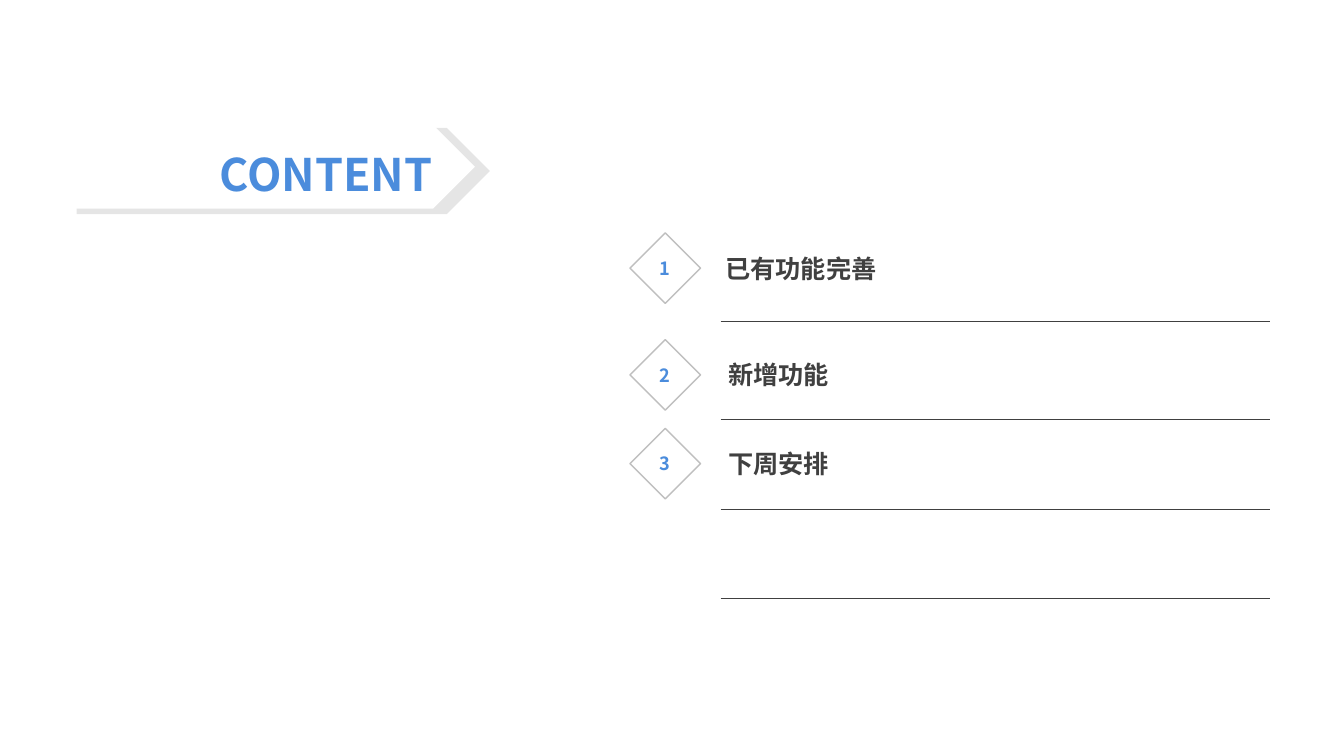
from dataclasses import dataclass

from lxml.etree import SubElement
from pptx import Presentation
from pptx.dml.color import RGBColor
from pptx.enum.shapes import MSO_CONNECTOR as Connector, MSO_SHAPE as Shape
from pptx.enum.text import MSO_ANCHOR as Anchor, MSO_AUTO_SIZE as AutoSize, PP_ALIGN as Align
from pptx.oxml import parse_xml
from pptx.oxml.ns import nsdecls, qn
from pptx.util import Pt


@dataclass(frozen=True)
class Theme:
    font: str = "Noto Sans CJK SC"
    white: RGBColor = RGBColor(0xFF, 0xFF, 0xFF)
    blue: RGBColor = RGBColor(0x4B, 0x8C, 0xDC)
    dark: RGBColor = RGBColor(0x40, 0x40, 0x40)
    border: RGBColor = RGBColor(0xBF, 0xBF, 0xBF)
    title_size: float = 32
    label_size: float = 18
    number_size: float = 13


THEME = Theme()

# Agenda rows: text, label left and width, row top, rule offset below the top
AGENDA = [
    ("已有功能完善", 56.2, 131.8, 0, 63.4),
    ("新增功能", 51.1, 110.2, 76.3, 133.2),
    ("下周安排", 51.1, 110.2, 139.7, 197.3),
]
LAST_RULE = 260.7


def set_values(target, values):
    for name, value in values.items():
        setattr(target, name, value)


def place(shape, left, top, width, height):
    set_values(shape, {"left": Pt(left), "top": Pt(top), "width": Pt(width), "height": Pt(height)})


def write_text(shape, text, size, color, align=Align.CENTER, anchor=Anchor.MIDDLE):
    frame = shape.text_frame
    set_values(frame, {
        "word_wrap": True, "auto_size": AutoSize.NONE, "vertical_anchor": anchor,
        "margin_left": Pt(7.2), "margin_right": Pt(7.2),
        "margin_top": Pt(3.6), "margin_bottom": Pt(3.6),
    })
    paragraph = frame.paragraphs[0]
    set_values(paragraph, {"alignment": align, "space_before": Pt(0), "line_spacing": 1.0})
    properties = paragraph._p.get_or_add_pPr()
    properties.set("marL", "0")
    properties.set("indent", "0")
    SubElement(properties, qn("a:buNone"))
    run = paragraph.add_run()
    run.text = text
    set_values(run.font, {"size": Pt(size), "bold": True, "name": THEME.font})
    run.font.color.rgb = color
    SubElement(run._r.get_or_add_rPr(), qn("a:ea")).set("typeface", THEME.font)


def add_plain_shape(slide, kind, left, top, width, height):
    shape = slide.shapes.add_shape(kind, Pt(left), Pt(top), Pt(width), Pt(height))
    shape.shadow.inherit = False
    shape.fill.solid()
    shape.fill.fore_color.rgb = THEME.white
    return shape


def add_rule(slide, left, top, width):
    rule = slide.shapes.add_connector(Connector.STRAIGHT, Pt(left), Pt(top), Pt(left + width), Pt(top))
    rule.line.color.rgb = THEME.dark
    rule.line.width = Pt(0.25)
    SubElement(rule._element.spPr, qn("a:effectLst"))


def build_heading(slide, left, top, width, height):
    # Arrow plate with an enlarged hard shadow, kept behind the title
    plate = add_plain_shape(slide, Shape.PENTAGON, left, top, width, height)
    plate.line.fill.background()
    effects = plate._element.spPr.find(qn("a:effectLst"))
    effects.append(parse_xml(
        f'<a:outerShdw {nsdecls("a")} blurRad="0" dist="38100" dir="2700000" '
        'sx="103000" sy="103000" algn="tl" rotWithShape="0">'
        '<a:srgbClr val="000000"><a:alpha val="10000"/></a:srgbClr></a:outerShdw>'))
    slide.shapes._spTree.insert(2, plate._element)

    # Title
    title = slide.shapes.title
    place(title, left + 46.8, top + 12.2, width - 69.8, 46.1)
    write_text(title, "CONTENT", THEME.title_size, THEME.blue, Align.RIGHT, Anchor.TOP)


def build_agenda(slide, left, top, width):
    bodies = [shape for shape in slide.placeholders if shape.placeholder_format.idx != 0]
    diamond_size, label_height, rule_inset = 50.4, 30.2, 64.8

    # Numbered rows
    for number, (body, row) in enumerate(zip(bodies, AGENDA), start=1):
        text, label_left, label_width, offset, _ = row
        row_top = top + offset
        diamond = add_plain_shape(slide, Shape.DIAMOND, left, row_top, diamond_size, diamond_size)
        diamond.line.color.rgb = THEME.border
        diamond.line.width = Pt(1)
        write_text(diamond, str(number), THEME.number_size, THEME.blue)
        place(body, left + label_left, row_top + (diamond_size - label_height) / 2,
              label_width, label_height)
        write_text(body, text, THEME.label_size, THEME.dark)

    # Rules under the rows, and one closing rule
    for offset in [row[-1] for row in AGENDA] + [LAST_RULE]:
        add_rule(slide, left + rule_inset, top + offset, width - rule_inset)

    # Unused placeholders
    for body in bodies[len(AGENDA):]:
        body._element.getparent().remove(body._element)


def main():
    presentation = Presentation()
    set_values(presentation, {"slide_width": Pt(960), "slide_height": Pt(540)})
    layout = presentation.slide_layouts.get_by_name("Comparison")
    slide = presentation.slides.add_slide(layout)
    build_heading(slide, 52.6, 89.3, 286.6, 59.8)
    build_agenda(slide, 450, 166.3, 457.2)
    presentation.save("out.pptx")


if __name__ == "__main__":
    main()
